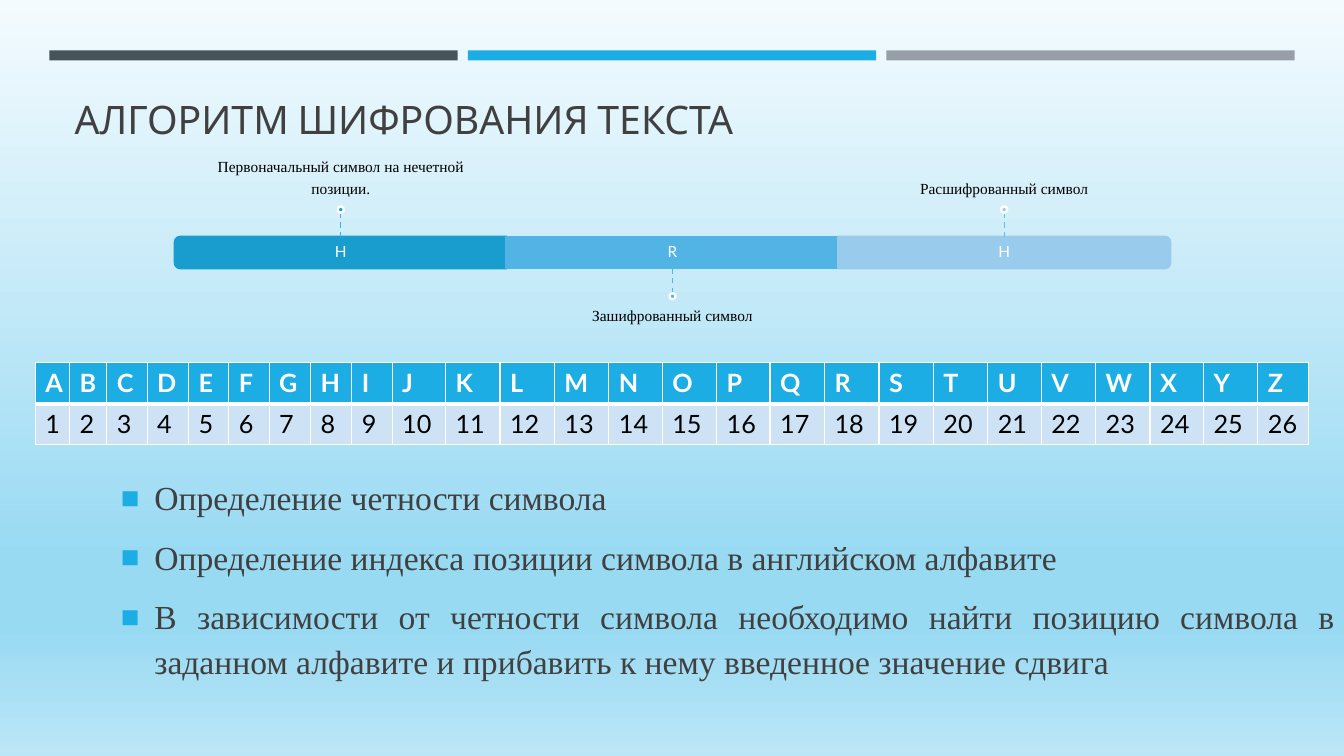
"""Build the slide on the text encryption algorithm."""
import copy

import lxml.etree
import pptx
import pptx.dml.color
import pptx.enum.dml
import pptx.enum.shapes
import pptx.enum.text
import pptx.oxml.ns
import pptx.util

Inches = pptx.util.Inches
Pt = pptx.util.Pt
RGBColor = pptx.dml.color.RGBColor
SHAPE = pptx.enum.shapes.MSO_SHAPE
ALIGN = pptx.enum.text.PP_ALIGN
ANCHOR = pptx.enum.text.MSO_ANCHOR
qn = pptx.oxml.ns.qn
add_element = lxml.etree.SubElement

WHITE = RGBColor(0xFF, 0xFF, 0xFF)
BLACK = RGBColor(0, 0, 0)
TEXT_GREY = RGBColor(0x40, 0x40, 0x40)
DARK_GREY = RGBColor(0x46, 0x53, 0x59)
MID_GREY = RGBColor(0x96, 0x9F, 0xA7)
ACCENT = RGBColor(0x1C, 0xAD, 0xE4)
PALE_BLUE = RGBColor(0xCD, 0xE3, 0xF5)
BACKGROUND = [(0, RGBColor(0xF4, 0xFB, 0xFE)), (0.74, RGBColor(0x99, 0xDA, 0xF3)),
              (0.83, RGBColor(0x99, 0xDA, 0xF3)), (1, RGBColor(0xBB, 0xE6, 0xF7))]
SEGMENT_FILLS = [RGBColor(0x19, 0x9D, 0xCF), RGBColor(0x52, 0xB3, 0xE5),
                 RGBColor(0x99, 0xCB, 0xEC)]
STEM_COLORS = [RGBColor(0x36, 0xB3, 0xE9), RGBColor(0x48, 0xB8, 0xEC),
               RGBColor(0x5A, 0xBE, 0xEF)]

deck = pptx.Presentation()
deck.slide_width = Inches(13.33)
deck.slide_height = Inches(7.5)
page = deck.slides.add_slide(deck.slide_layouts[1])


def add_block(kind, left, top, width, height, fill, line=None):
    block = page.shapes.add_shape(kind, Inches(left), Inches(top), Inches(width), Inches(height))
    block.shadow.inherit = False
    block.fill.solid()
    block.fill.fore_color.rgb = fill
    if line is None:
        block.line.fill.background()
    else:
        block.line.color.rgb = line
        block.line.width = Pt(1.75)
    return block


def add_caption(lines, left, top, width, height, insets, anchor, font_name, color):
    box = page.shapes.add_textbox(Inches(left), Inches(top), Inches(width), Inches(height))
    frame = box.text_frame
    frame.word_wrap = True
    frame.vertical_anchor = anchor
    frame.margin_left = frame.margin_right = Inches(insets[0])
    frame.margin_top, frame.margin_bottom = Inches(insets[1]), Inches(insets[2])
    frame.text = "\n".join(lines)
    for para in frame.paragraphs:
        para.alignment = ALIGN.CENTER
        para.line_spacing = 0.9
        para.space_after = Pt(3.85)
        para.font.name = font_name
        para.font.size = Pt(11)
        para.font.color.rgb = color


backdrop = page.background.fill
backdrop.gradient()
backdrop.gradient_angle = 270
stop_list = page.background._cSld.find(".//" + qn("a:gsLst"))
for _ in range(2):
    stop_list.append(copy.deepcopy(stop_list[0]))
for stop, (position, color) in zip(backdrop.gradient_stops, BACKGROUND):
    stop.position = position
    stop.color.rgb = color

for index, color in enumerate([DARK_GREY, ACCENT, MID_GREY]):
    add_block(SHAPE.RECTANGLE, 0.49 + 4.15 * index, 0.5, 4.05, 0.1, color)

title = page.shapes.title
title.left, title.top, title.width, title.height = map(Inches, (0.64, 0.16, 12.06, 1.3))
title.text_frame.text = "АЛГОРИТМ ШИФРОВАНИЯ ТЕКСТА"
title.text_frame.vertical_anchor = ANCHOR.BOTTOM
heading = title.text_frame.paragraphs[0]
heading.alignment = ALIGN.LEFT
heading.font.name = "Cabin"
heading.font.size = Pt(28)
heading.font.color.rgb = TEXT_GREY

SEGMENT_WIDTH, SEGMENT_HEIGHT, SEGMENT_TOP = 3.29, 0.31, 2.35
DOT = 0.06
segments = [("H", ["Первоначальный символ на нечетной", "позиции."], 270),
            ("R", ["Зашифрованный символ"], 0),
            ("H", ["Расшифрованный символ"], 90)]
for index, (letter, lines, rotation) in enumerate(segments):
    fill = SEGMENT_FILLS[index]
    center = 3.38 + SEGMENT_WIDTH * index
    left = center - SEGMENT_WIDTH / 2
    middle = SEGMENT_TOP + SEGMENT_HEIGHT / 2
    if rotation:
        segment = add_block(SHAPE.ROUND_2_SAME_RECTANGLE, center - SEGMENT_HEIGHT / 2,
                            middle - SEGMENT_WIDTH / 2, SEGMENT_HEIGHT, SEGMENT_WIDTH, fill, fill)
        segment.rotation = rotation
        stem_start, stem_end, dot_top = 2.11, SEGMENT_TOP, 2.05
        label_top, label_insets, label_anchor = 0.97, (0, 0, 0.09), ANCHOR.BOTTOM
    else:
        add_block(SHAPE.RECTANGLE, left, SEGMENT_TOP, SEGMENT_WIDTH, SEGMENT_HEIGHT, fill, fill)
        stem_start, stem_end, dot_top = SEGMENT_TOP + SEGMENT_HEIGHT, 2.91, 2.91
        label_top, label_insets, label_anchor = 2.97, (0, 0.09, 0), ANCHOR.TOP
    add_caption([letter], left, SEGMENT_TOP, SEGMENT_WIDTH, SEGMENT_HEIGHT,
                (0.09, 0.09, 0.09), ANCHOR.MIDDLE, "Lato", WHITE)
    add_caption(lines, center - 2.74, label_top, 5.48, 1.08,
                label_insets, label_anchor, "Times New Roman", BLACK)
    stem = page.shapes.add_connector(pptx.enum.shapes.MSO_CONNECTOR.STRAIGHT, Inches(center),
                                     Inches(stem_start), Inches(center), Inches(stem_end))
    stem.line.color.rgb = STEM_COLORS[index]
    stem.line.width = Pt(1)
    stem.line.dash_style = pptx.enum.dml.MSO_LINE.DASH
    add_element(stem._element.spPr, qn("a:effectLst"))
    add_block(SHAPE.OVAL, center - DOT / 2, dot_top, DOT, DOT, fill, WHITE)

steps = page.placeholders[1]
steps.left, steps.top, steps.width, steps.height = map(Inches, (1.1, 4.41, 12.24, 2.63))
steps.text_frame.text = "\n".join([
    "Определение четности символа",
    "Определение индекса позиции символа в английском алфавите",
    "В зависимости от четности символа необходимо найти позицию символа "
    "в заданном алфавите и прибавить к нему введенное значение сдвига"])
steps.text_frame.vertical_anchor = ANCHOR.MIDDLE
steps.text_frame.auto_size = pptx.enum.text.MSO_AUTO_SIZE.NONE
for para in steps.text_frame.paragraphs:
    para.alignment = ALIGN.JUSTIFY
    para.line_spacing = 1.1
    para.space_before = Pt(4.8)
    para.space_after = Pt(6)
    para.font.name = "Times New Roman"
    para.font.size = Pt(24)
    para.font.color.rgb = TEXT_GREY
    properties = para._p.get_or_add_pPr()
    properties.set("marL", str(Inches(0.33)))
    properties.set("indent", str(-Inches(0.33)))
    bullet_color = add_element(properties, qn("a:buClr"))
    add_element(bullet_color, qn("a:srgbClr"), val=str(ACCENT))
    add_element(properties, qn("a:buSzPct"), val="92000")
    add_element(properties, qn("a:buFont"), typeface="Arial")
    add_element(properties, qn("a:buChar"), char="■")
    properties.append(properties.find(qn("a:defRPr")))

LETTERS = "ABCDEFGHIJKLMNOPQRSTUVWXYZ"
COLUMN_WIDTHS = [0.34, 0.37, 0.4, 0.41, 0.4, 0.4, 0.41, 0.41, 0.4, 0.53, 0.54, 0.54, 0.54,
                 0.53, 0.54, 0.53, 0.54, 0.54, 0.54, 0.54, 0.53, 0.54, 0.54, 0.53, 0.54, 0.5]
alphabet = page.shapes.add_table(2, len(LETTERS), Inches(0.35), Inches(3.6),
                                 Inches(12.63), Inches(0.81)).table
for column, width in zip(alphabet.columns, COLUMN_WIDTHS):
    column.width = Inches(width)
for row in range(2):
    for index, letter in enumerate(LETTERS):
        cell = alphabet.cell(row, index)
        cell.text = str(index + 1) if row else letter
        font = cell.text_frame.paragraphs[0].font
        font.name = "Lato"
        font.size = Pt(18)
        font.bold = row == 0
        font.color.rgb = BLACK if row else WHITE
        cell_properties = cell._tc.get_or_add_tcPr()
        for side in ("lnL", "lnR", "lnT", "lnB"):
            thick = (row, side) in ((0, "lnB"), (1, "lnT"))
            border = add_element(cell_properties, qn("a:" + side), w=str(Pt(3 if thick else 1)))
            border_fill = add_element(border, qn("a:solidFill"))
            add_element(border_fill, qn("a:srgbClr"), val=str(WHITE))
        cell.fill.solid()
        cell.fill.fore_color.rgb = PALE_BLUE if row else ACCENT

deck.save("out.pptx")
